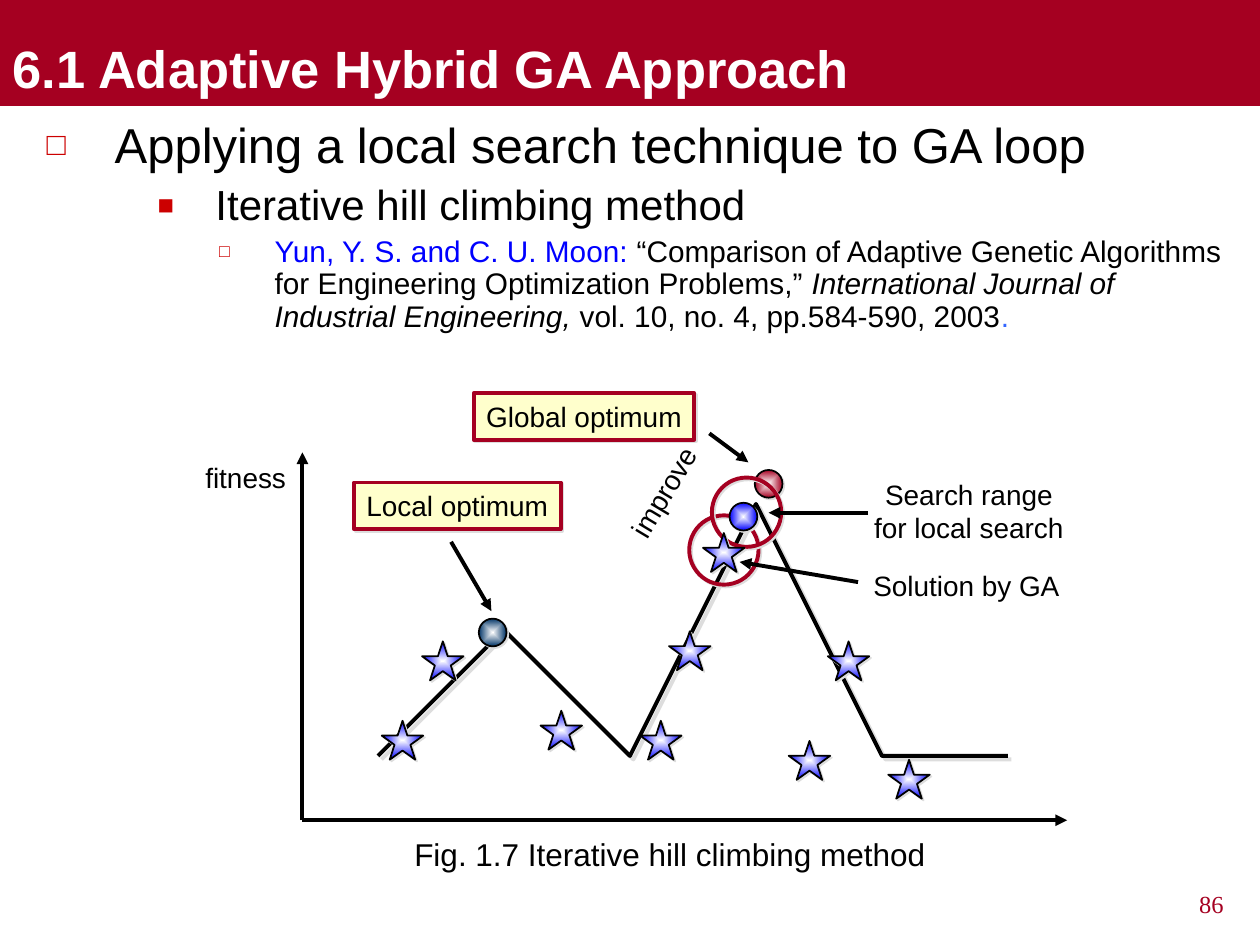
from lxml.etree import SubElement
from pptx import Presentation
from pptx.dml.color import RGBColor
from pptx.enum.shapes import MSO_CONNECTOR, MSO_SHAPE
from pptx.enum.text import MSO_ANCHOR, MSO_AUTO_SIZE, PP_ALIGN
from pptx.oxml.ns import qn
from pptx.util import Inches, Pt

THEME = {
    "font": "Arial", "number_font": "Times New Roman",
    "crimson": "A50021", "bullet": "CC0000", "cream": "FFFFCC", "shadow": "DDDDDD",
    "black": "000000", "white": "FFFFFF", "blue": "0000FF", "sky": "3366FF", "navy": "003366",
    "title": 30, "levels": (28, 24, 17), "label": 16, "caption": 18, "number": 14,
    "thick": 2.25, "thin": 1, "near": 1.4, "far": 2.8,
}

# Content
TITLE = "6.1 Adaptive Hybrid GA Approach"
# bullet, size %, left margin, hanging indent, space before
BULLETS = [("□", 65, 0.54, 0.54, 7), ("■", 65, 1.34, 0.46, 6), ("□", 60, 1.81, 0.44, 4.2)]
OUTLINE = [  # one list of (text, colour, italic) per level
    [("Applying a local search technique to GA loop", "black", False)],
    [("Iterative hill climbing method", "black", False)],
    [("Yun, Y. S. and C. U. Moon: ", "blue", False),
     ("“Comparison of Adaptive Genetic Algorithms for Engineering Optimization Problems,” ",
      "black", False),
     ("International Journal of Industrial Engineering, ", "black", True),
     ("vol. 10, no. 4, pp.584-590, 2003", "black", False),
     (".", "sky", False)],
]
ORIGIN = (2.4, 6.51)
AXIS_ENDS = [(2.4, 3.59), (8.47, 6.51)]
FITNESS_CURVE = [
    (2.87, 6.43), (3.21, 5.73), (3.54, 5.04), (3.9, 5.01), (4.25, 4.98), (4.63, 6.47),
    (5, 6.27), (5.37, 6.07), (5.75, 3.87), (6.1, 3.83), (6.46, 3.79), (6.84, 5.6),
    (7.13, 6.03), (7.41, 6.47), (7.62, 6.45), (7.84, 6.43),
]
IMPROVE_ARC = [(5.33, 4.35), (5.32, 4.29), (5.32, 4.24), (5.33, 4.19),
               (5.35, 4.14), (5.38, 4.08), (5.41, 4.03)]
ARC_STEPS = [(0, 0, 0), (0.25, -0.32, 10)]  # shift right, shift down, rotation
BALL, RING, STAR = (0.22, 0.22), (0.55, 0.55), (0.33, 0.31)
GLOBAL_BALL = (5.99, 3.73)
RINGS = [(5.47, 4.09), (5.65, 3.79)]
OTHER_BALLS = [(3.8, 4.91, "navy"), (5.79, 3.99, "blue")]
STARS = [(5.58, 4.23), (3.03, 5.72), (4.29, 5.64), (5.08, 5.72), (5.31, 5.01),
         (6.57, 5.09), (6.26, 5.88), (7.05, 6.03), (3.35, 5.09)]
OPTIMA = [("Local optimum", (2.81, 3.83, 1.64, 0.37)),
          ("Global optimum", (3.76, 3.12, 1.75, 0.37))]
LABELS = [  # lines, place, rotation
    (["improve"], (4.77, 3.72, 0.99, 0.37), 300.9),
    (["Search range", "for local search"], (6.84, 3.74, 1.7, 0.64), 0),
    (["Solution by GA"], (6.83, 4.46, 1.68, 0.37), 0),
    (["fitness"], (1.53, 3.61, 0.84, 0.37), 0),
]
POINTERS = [((3.58, 4.3), (3.9, 4.85)), ((5.63, 3.44), (5.94, 3.67)),
            ((6.89, 4.07), (6.1, 4.07)), ((6.81, 4.62), (5.87, 4.46))]
CAPTION = "Fig. 1.7 Iterative hill climbing method"


def color(name):
    return RGBColor.from_string(THEME[name])


def inches(values):
    return [Inches(value) for value in values]


def add_shadow(parent, distance):
    shadow = SubElement(parent, qn("a:outerShdw"), dist=str(Pt(distance)), dir="2700000")
    SubElement(shadow, qn("a:srgbClr"), val=THEME["shadow"])


def outline(shape, name, width, arrow=False, distance=0):
    """Line first, then the effect list that has to follow it."""
    shape.line.color.rgb = color(name)
    shape.line.width = Pt(width)
    if arrow:
        SubElement(shape.line._get_or_add_ln(), qn("a:tailEnd"), type="triangle")
    effects = SubElement(shape._element.spPr, qn("a:effectLst"))
    if distance:
        add_shadow(effects, distance)


def add_span(para, text, size, name="black", font="font", bold=False, italic=False):
    span = para.add_run()
    span.text = text
    span.font.size, span.font.name = Pt(size), THEME[font]
    span.font.bold, span.font.italic = bold, italic
    span.font.color.rgb = color(name)
    return span


def write_lines(box, lines, size, align=PP_ALIGN.LEFT, shadow=False):
    frame = box.text_frame
    frame.word_wrap = False
    frame.auto_size = MSO_AUTO_SIZE.SHAPE_TO_FIT_TEXT
    frame.vertical_anchor = MSO_ANCHOR.TOP
    for index, line in enumerate(lines):
        para = frame.add_paragraph() if index else frame.paragraphs[0]
        para.alignment = align
        span = add_span(para, line, size)
        if shadow:
            fill = span._r.rPr.find(qn("a:solidFill"))
            effects = SubElement(span._r.rPr, qn("a:effectLst"))
            fill.addnext(effects)
            add_shadow(effects, THEME["near"])


def add_arrow(shapes, start, end):
    arrow = shapes.add_connector(MSO_CONNECTOR.STRAIGHT, *inches(start + end))
    outline(arrow, "black", THEME["thick"], arrow=True)


def add_curve(shapes, points, arrow=False):
    """Points are a start followed by triples of Bezier controls."""
    builder = shapes.build_freeform(*points[0], scale=Inches(1))
    builder.add_line_segments(points[1:], close=False)
    curve = builder.convert_to_shape()
    segments = list(curve._element.iter(qn("a:lnTo")))
    track = segments[0].getparent()
    for first in range(0, len(segments), 3):
        bezier = SubElement(track, qn("a:cubicBezTo"))
        for segment in segments[first:first + 3]:
            bezier.append(segment[0])
            track.remove(segment)
    curve.fill.background()
    outline(curve, "black", THEME["thick"], arrow, THEME["far"])
    return curve


def add_marker(shapes, kind, place, size, name):
    marker = shapes.add_shape(kind, *inches(place + size))
    marker.fill.gradient()
    for stop, stop_color in zip(marker.fill.gradient_stops, ("white", name)):
        stop.color.rgb = color(stop_color)
    gradient = marker._element.spPr.find(qn("a:gradFill"))
    gradient.remove(gradient.find(qn("a:lin")))
    center = SubElement(gradient, qn("a:path"), path="rect")
    SubElement(center, qn("a:fillToRect"), l="50000", t="50000", r="50000", b="50000")
    outline(marker, "black", THEME["thin"], distance=THEME["near"])


def place_on(shape, place):
    shape.left, shape.top, shape.width, shape.height = inches(place)


deck = Presentation()
deck.slide_width, deck.slide_height = Inches(10), Inches(7.5)
page = deck.slides.add_slide(deck.slide_layouts[1])

# Title band
title = page.shapes.title
place_on(title, (0, 0, 10, 0.84))
title.fill.solid()
title.fill.fore_color.rgb = color("crimson")
title.text_frame.vertical_anchor = MSO_ANCHOR.BOTTOM
title.text_frame.auto_size = MSO_AUTO_SIZE.NONE
para = title.text_frame.paragraphs[0]
para.alignment = PP_ALIGN.LEFT
add_span(para, TITLE, THEME["title"], "white", bold=True)

# Outline
body = page.placeholders[1]
place_on(body, (0.27, 0.91, 9.53, 6.06))
body.text_frame.auto_size = MSO_AUTO_SIZE.NONE
for level, (spans, bullet) in enumerate(zip(OUTLINE, BULLETS)):
    symbol, percent, margin, hanging, before = bullet
    para = body.text_frame.add_paragraph() if level else body.text_frame.paragraphs[0]
    para.level, para.line_spacing, para.space_before = level, 0.9, Pt(before)
    props = para._p.get_or_add_pPr()
    props.set("marL", str(Inches(margin)))
    props.set("indent", str(-Inches(hanging)))
    SubElement(SubElement(props, qn("a:buClr")), qn("a:srgbClr"), val=THEME["bullet"])
    SubElement(props, qn("a:buSzPct"), val=str(percent * 1000))
    SubElement(props, qn("a:buFont"), typeface=THEME["font"])
    SubElement(props, qn("a:buChar"), char=symbol)
    for text, name, italic in spans:
        add_span(para, text, THEME["levels"][level], name, italic=italic)

# Figure: axes, curve, search rings
figure = page.shapes.add_group_shape().shapes
for end in AXIS_ENDS:
    add_arrow(figure, ORIGIN, end)
add_curve(figure, FITNESS_CURVE)
add_marker(figure, MSO_SHAPE.OVAL, GLOBAL_BALL, BALL, "crimson")
for place in RINGS:
    ring = figure.add_shape(MSO_SHAPE.OVAL, *inches(place + RING))
    ring.fill.background()
    outline(ring, "crimson", THEME["thick"], distance=THEME["near"])
for right, down, turn in ARC_STEPS:
    arc = add_curve(figure, [(x + right, y + down) for x, y in IMPROVE_ARC], arrow=True)
    arc.rotation = turn

# Figure: labels
for text, place in OPTIMA:
    box = figure.add_shape(MSO_SHAPE.RECTANGLE, *inches(place))
    box.fill.solid()
    box.fill.fore_color.rgb = color("cream")
    outline(box, "crimson", THEME["thick"], distance=THEME["near"])
    write_lines(box, [text], THEME["label"])
for lines, place, turn in LABELS:
    box = figure.add_textbox(*inches(place))
    box.rotation = turn
    write_lines(box, lines, THEME["label"], PP_ALIGN.CENTER, shadow=True)

# Figure: solutions and pointers
for x, y, name in OTHER_BALLS:
    add_marker(figure, MSO_SHAPE.OVAL, (x, y), BALL, name)
for place in STARS:
    add_marker(figure, MSO_SHAPE.STAR_5_POINT, place, STAR, "blue")
for start, end in POINTERS:
    add_arrow(figure, start, end)

# Caption and page number
caption = page.shapes.add_textbox(*inches((3.19, 6.58, 4.26, 0.4)))
write_lines(caption, [CAPTION], THEME["caption"])
number = page.shapes.add_textbox(*inches((7.64, 7.01, 2.17, 0.39)))
number.text_frame.word_wrap = True
para = number.text_frame.paragraphs[0]
para.alignment = PP_ALIGN.RIGHT
add_span(para, "86", THEME["number"], "crimson", "number_font")

deck.save("out.pptx")
